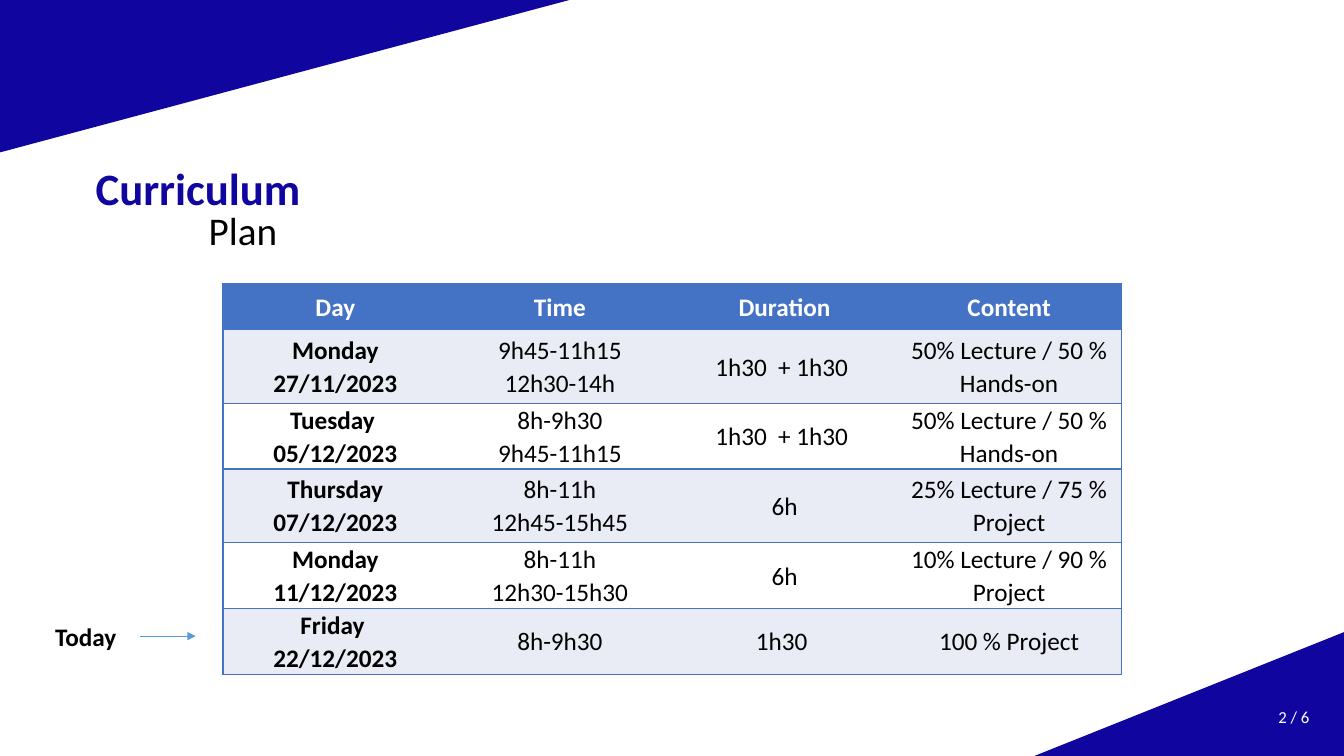
"""Builds the curriculum plan slide with its course timetable."""
from lxml import etree
from pptx import Presentation
from pptx.dml.color import RGBColor
from pptx.enum.shapes import MSO_CONNECTOR, MSO_SHAPE
from pptx.enum.text import MSO_ANCHOR, MSO_AUTO_SIZE, PP_ALIGN
from pptx.oxml.ns import qn
from pptx.util import Cm, Pt

LEFT, CENTER, RIGHT = PP_ALIGN.LEFT, PP_ALIGN.CENTER, PP_ALIGN.RIGHT
TOP, MIDDLE = MSO_ANCHOR.TOP, MSO_ANCHOR.MIDDLE
NO_FIT = MSO_AUTO_SIZE.NONE
RIGHT_TRIANGLE, STRAIGHT = MSO_SHAPE.RIGHT_TRIANGLE, MSO_CONNECTOR.STRAIGHT

COLORS = {
    "navy": "10069F",
    "grid": "4472C4",
    "band": "E9EBF5",
    "arrow": "5B9BD5",
    "white": "FFFFFF",
    "black": "000000",
}

TIMETABLE = [
    ["Day", "Time", "Duration", "Content"],
    ["Monday 27/11/2023", "9h45-11h15\v12h30-14h", "1h30  + 1h30 ", "50% Lecture / 50 % Hands-on"],
    ["Tuesday \v05/12/2023", "8h-9h30\v9h45-11h15", "1h30  + 1h30 ", "50% Lecture / 50 % Hands-on"],
    ["Thursday 07/12/2023", "8h-11h\v12h45-15h45", "6h", "25% Lecture / 75 % Project"],
    ["Monday 11/12/2023", "8h-11h\v12h30-15h30", "6h", "10% Lecture / 90 % Project"],
    ["Friday \v22/12/2023", "8h-9h30", "1h30 ", "100 % Project"],
]
ROW_HEIGHTS = [1.17, 1.85, 1.17, 1.85, 1.17, 1.17]


def rgb(name):
    """Return the named colour."""
    return RGBColor.from_string(COLORS[name])


class SlideBuilder:
    """Holds the style and the current slide."""

    font_name = "Calibri"

    def __init__(self, slide):
        """Keep the slide to draw on."""
        self.slide = slide

    def set_text(self, frame, text, size, color="black", bold=False, align=LEFT, spacing=None):
        """Put one styled paragraph in a text frame."""
        frame.text = text
        paragraph = frame.paragraphs[0]
        paragraph.alignment = align
        paragraph.line_spacing = spacing
        font = paragraph.font
        font.name, font.size, font.bold = self.font_name, Pt(size), bold
        font.color.rgb = rgb(color)
        return paragraph

    def triangle(self, left, top, width, height, rotation=0):
        """Draw a mirrored corner triangle."""
        corner = self.slide.shapes.add_shape(
            RIGHT_TRIANGLE, Cm(left), Cm(top), Cm(width), Cm(height))
        corner.rotation = rotation
        corner.element.spPr.get_or_add_xfrm().set("flipH", "1")
        corner.shadow.inherit = False
        corner.fill.solid()
        corner.fill.fore_color.rgb = rgb("navy")
        corner.line.fill.background()

    def heading(self, index, box, text, size, anchor, indent=0.25, **style):
        """Move and fill a template placeholder."""
        holder = self.slide.placeholders[index]
        holder.left, holder.top, holder.width, holder.height = map(Cm, box)
        frame = holder.text_frame
        frame.auto_size, frame.word_wrap = NO_FIT, True
        frame.vertical_anchor = anchor
        frame.margin_left = Cm(indent)
        return self.set_text(frame, text, size, spacing=0.9, **style)

    def label(self, box, text, size, anchor=TOP, **style):
        """Add a text box."""
        frame = self.slide.shapes.add_textbox(*map(Cm, box)).text_frame
        frame.word_wrap = True
        frame.vertical_anchor = anchor
        self.set_text(frame, text, size, **style)

    def arrow(self, start, end, y):
        """Draw a thin horizontal arrow."""
        pointer = self.slide.shapes.add_connector(STRAIGHT, Cm(start), Cm(y), Cm(end), Cm(y))
        pointer.line.color.rgb = rgb("arrow")
        pointer.line.width = Pt(0.5)
        properties = pointer.element.spPr
        etree.SubElement(properties.find(qn("a:ln")), qn("a:tailEnd"), type="triangle")
        etree.SubElement(properties, qn("a:effectLst"))

    def border(self, cell, side, visible):
        """Set one border of a cell."""
        properties = cell._tc.get_or_add_tcPr()
        edge = etree.SubElement(properties, qn(f"a:ln{side}"), w=str(Pt(1)))
        if visible:
            fill = etree.SubElement(edge, qn("a:solidFill"))
            etree.SubElement(fill, qn("a:srgbClr"), val=COLORS["grid"])
        else:
            etree.SubElement(edge, qn("a:noFill"))

    def timetable(self, left, top, width, height, rows, row_heights):
        """Add the banded timetable with its header row."""
        last = len(rows[0]) - 1
        holder = self.slide.shapes.add_table(
            len(rows), last + 1, Cm(left), Cm(top), Cm(width), Cm(height))
        table = holder.table
        for row_index, (texts, row_height) in enumerate(zip(rows, row_heights)):
            table.rows[row_index].height = Cm(row_height)
            header = row_index == 0
            background = "grid" if header else "band" if row_index % 2 else "white"
            for column, text in enumerate(texts):
                cell = table.cell(row_index, column)
                cell.vertical_anchor = MIDDLE
                cell.margin_left = cell.margin_right = Cm(0.18)
                cell.margin_top = cell.margin_bottom = 0
                edges = {"L": column == 0, "R": column == last, "T": True, "B": True}
                for side, visible in edges.items():
                    self.border(cell, side, visible)
                cell.fill.solid()
                cell.fill.fore_color.rgb = rgb(background)
                paragraph = self.set_text(
                    cell.text_frame, text, 18, "white" if header else "black",
                    header or column == 0, CENTER, 1.07)
                paragraph.space_after = Pt(8)
        holder.height = Cm(height)


def main():
    """Build and save the slide."""
    presentation = Presentation()
    presentation.slide_width, presentation.slide_height = Cm(33.87), Cm(19.05)
    builder = SlideBuilder(presentation.slides.add_slide(presentation.slide_layouts[0]))
    builder.triangle(0, 0, 14.35, 3.84, rotation=180)
    builder.triangle(26.07, 15.93, 7.8, 3.12)
    builder.heading(0, (2.16, 4.24, 28.78, 1.14), "Curriculum", 32, MIDDLE,
                    color="navy", bold=True)
    plan = builder.heading(1, (4.93, 5.21, 23.7, 0.97), "Plan", 28, TOP, indent=0.33)
    plan.space_before = Pt(10)
    builder.timetable(5.62, 7.14, 22.64, 9.68, TIMETABLE, ROW_HEIGHTS)
    builder.arrow(3.53, 4.93, 16.03)
    builder.label((1.14, 15.52, 2.41, 1.02), "Today", 18, bold=True)
    builder.label((29.97, 17.55, 3.28, 1.02), "2 / 6", 12, MIDDLE, color="white", align=RIGHT)
    presentation.save("out.pptx")


if __name__ == "__main__":
    main()
